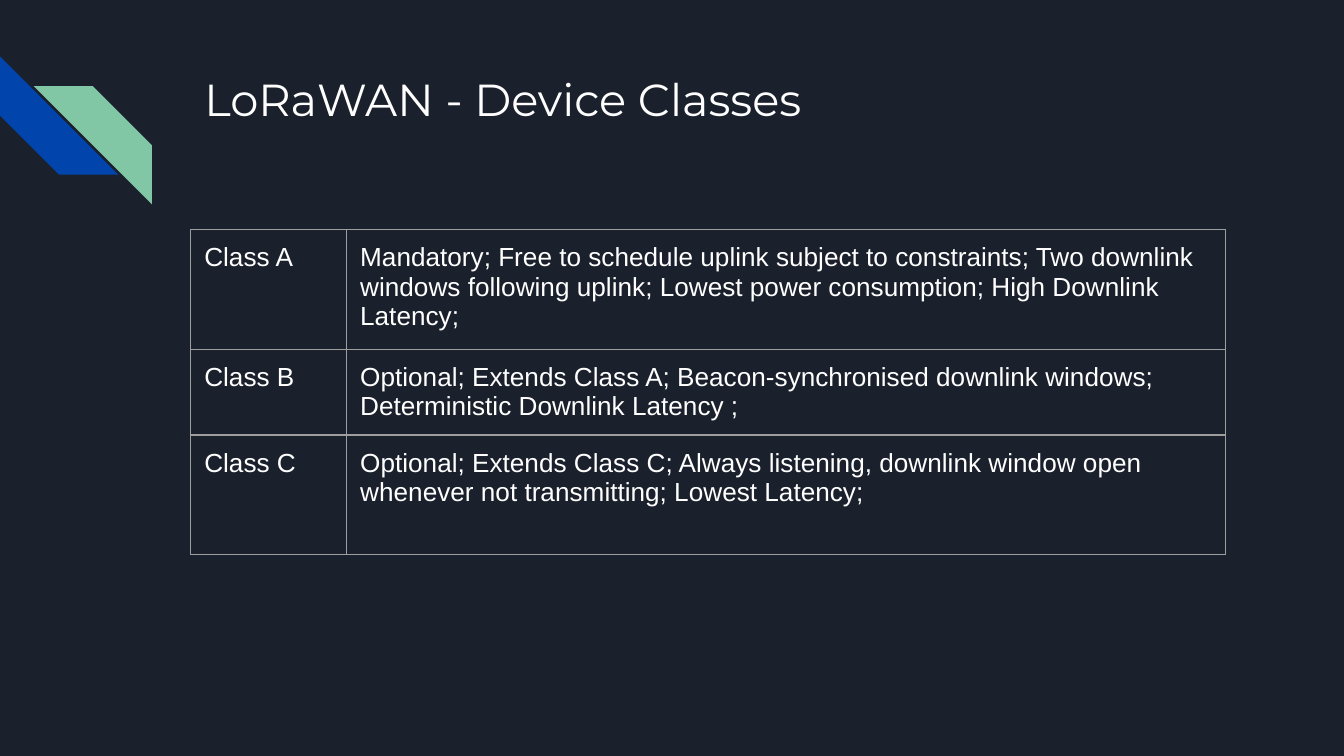
from dataclasses import dataclass

import lxml.etree
import pptx
import pptx.dml.color
import pptx.enum.shapes
import pptx.enum.text
import pptx.oxml.ns
import pptx.slide
import pptx.table
import pptx.text.text
import pptx.util

Inches = pptx.util.Inches
RGB = pptx.dml.color.RGBColor.from_string


@dataclass(frozen=True)
class Theme:
    background: str = "1B212C"
    text: str = "FFFFFF"
    border: str = "9E9E9E"
    blue: str = "0145AC"
    green: str = "82C7A5"
    title_font: str = "Montserrat"
    body_font: str = "Arial"
    title_size: float = 24
    body_size: float = 14
    border_width: float = 0.75


@dataclass(frozen=True)
class Stripe:
    left: float
    top: float
    rotation: float
    color: str


@dataclass(frozen=True)
class DeviceClass:
    name: str
    description: str
    height: float


THEME = Theme()
SLIDE_WIDTH = Inches(10)
SLIDE_HEIGHT = SLIDE_WIDTH * 9 // 16
STRIPE_SIZE = 0.88
LEFT, WIDTH = 1.42, 7.7
TABLE_TOP = 1.71
COLUMN_WIDTHS = (1.16, 6.54)

STRIPES = (
    Stripe(0, 0.42, 270, THEME.blue),
    Stripe(0.25, 0.64, 90, THEME.green),
)
DEVICE_CLASSES = (
    DeviceClass(
        "Class A",
        "Mandatory; Free to schedule uplink subject to constraints; Two downlink "
        "windows following uplink; Lowest power consumption; High Downlink Latency;",
        0.89,
    ),
    DeviceClass(
        "Class B",
        "Optional; Extends Class A; Beacon-synchronised downlink windows; "
        "Deterministic Downlink Latency ;",
        0.59,
    ),
    DeviceClass(
        "Class C",
        "Optional; Extends Class C; Always listening, downlink window open "
        "whenever not transmitting; Lowest Latency;",
        0.89,
    ),
)
MARGINS = {f"margin_{side}": Inches(0.1) for side in ("left", "top", "right", "bottom")}


def set_format(target: object, values: dict) -> None:
    for name, value in values.items():
        setattr(target, name, value)


def write_text(tf: pptx.text.text.TextFrame, text: str, font: str, size: float) -> None:
    p = tf.paragraphs[0]
    p.alignment = pptx.enum.text.PP_ALIGN.LEFT
    r = p.add_run()
    r.text = text
    set_format(r.font, {"name": font, "size": pptx.util.Pt(size)})
    r.font.color.rgb = RGB(THEME.text)


def add_stripe(slide: pptx.slide.Slide, stripe: Stripe) -> None:
    sp = slide.shapes.add_shape(
        pptx.enum.shapes.MSO_SHAPE.DIAGONAL_STRIPE,
        Inches(stripe.left), Inches(stripe.top),
        Inches(STRIPE_SIZE), Inches(STRIPE_SIZE),
    )
    sp.adjustments[0] = 0.5
    sp.rotation = stripe.rotation
    sp.shadow.inherit = False
    sp.fill.solid()
    sp.fill.fore_color.rgb = RGB(stripe.color)
    sp.line.fill.background()


def add_title(slide: pptx.slide.Slide, text: str) -> None:
    sp = slide.shapes.title
    set_format(sp, {
        "left": Inches(LEFT), "top": Inches(0.43),
        "width": Inches(WIDTH), "height": Inches(1),
    })
    set_format(sp.text_frame, MARGINS | {
        "word_wrap": True,
        "vertical_anchor": pptx.enum.text.MSO_ANCHOR.TOP,
        "auto_size": pptx.enum.text.MSO_AUTO_SIZE.NONE,
    })
    write_text(sp.text_frame, text, THEME.title_font, THEME.title_size)


def add_borders(cell: pptx.table._Cell) -> None:
    """Outline all four sides; lines must precede the fill in the cell XML."""
    qn = pptx.oxml.ns.qn
    properties = cell._tc.get_or_add_tcPr()
    for i, side in enumerate(("lnL", "lnR", "lnT", "lnB")):
        line = lxml.etree.Element(
            qn(f"a:{side}"), w=str(pptx.util.Pt(THEME.border_width))
        )
        fill = lxml.etree.SubElement(line, qn("a:solidFill"))
        lxml.etree.SubElement(fill, qn("a:srgbClr"), val=THEME.border)
        properties.insert(i, line)


def add_class_table(slide: pptx.slide.Slide, classes: tuple[DeviceClass, ...]) -> None:
    table = slide.shapes.add_table(
        len(classes), len(COLUMN_WIDTHS), Inches(LEFT), Inches(TABLE_TOP),
        Inches(WIDTH), Inches(sum(c.height for c in classes)),
    ).table
    set_format(table, {"first_row": False, "horz_banding": False})
    for column, width in zip(table.columns, COLUMN_WIDTHS):
        column.width = Inches(width)
    for row, device in zip(table.rows, classes):
        row.height = Inches(device.height)
        for cell, text in zip(row.cells, (device.name, device.description)):
            set_format(cell, MARGINS)
            cell.fill.background()
            add_borders(cell)
            write_text(cell.text_frame, text, THEME.body_font, THEME.body_size)


def main() -> None:
    prs = pptx.Presentation()
    set_format(prs, {"slide_width": SLIDE_WIDTH, "slide_height": SLIDE_HEIGHT})
    slide = prs.slides.add_slide(prs.slide_layouts.get_by_name("Title Only"))
    slide.background.fill.solid()
    slide.background.fill.fore_color.rgb = RGB(THEME.background)
    for stripe in STRIPES:
        add_stripe(slide, stripe)
    add_title(slide, "LoRaWAN - Device Classes")
    add_class_table(slide, DEVICE_CLASSES)
    prs.save("out.pptx")


if __name__ == "__main__":
    main()
